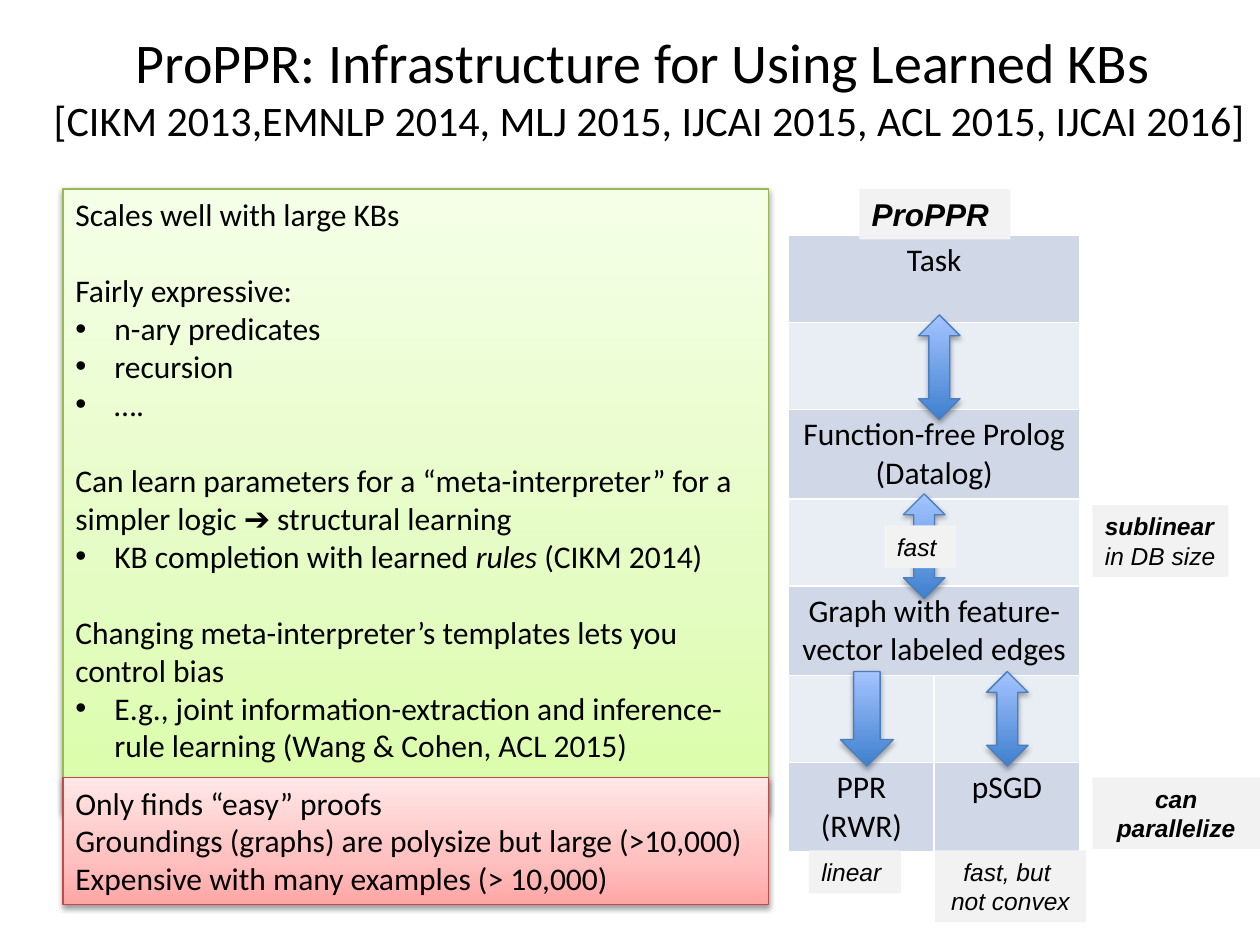
from lxml import etree
from pptx import Presentation
from pptx.dml.color import RGBColor
from pptx.enum.shapes import MSO_SHAPE as Shape
from pptx.enum.text import MSO_ANCHOR as Anchor, PP_ALIGN as Align
from pptx.oxml.ns import qn
from pptx.util import Inches, Pt

COLORS = {"text": "000000", "label": "F2F2F2", "layer": "D0D8E8", "link": "E9EDF4",
          "arrow line": "4B7EBC", "green line": "98B955", "red line": "BF4C48"}
GRADIENTS = {"arrow": [(0, "3F80CE"), (100, "A4C4FF")],
             "green": [(0, "DAFDA7"), (35, "E4FCC2"), (100, "F5FFE7")],
             "red": [(0, "FFA6A5"), (35, "FFC0BF"), (100, "FFE7E7")]}

TITLE = ("ProPPR: Infrastructure for Using Learned KBs ",
         "[CIKM 2013,EMNLP 2014, MLJ 2015, IJCAI 2015, ACL 2015, IJCAI 2016]")
STRENGTHS = [
    ("Scales well with large KBs", []),
    ("Fairly expressive:", ["n-ary predicates", "recursion", "…."]),
    ("Can learn parameters for a “meta-interpreter” for a simpler logic ➔ structural learning",
     ["KB completion with learned *rules* (CIKM 2014)"]),
    ("Changing meta-interpreter’s templates lets you control bias",
     ["E.g., joint information-extraction and inference-rule learning (Wang & Cohen, ACL 2015)"]),
]
WEAKNESSES = [("Only finds “easy” proofs", []),
              ("Groundings (graphs) are polysize but large (>10,000)", []),
              ("Expensive with many examples (> 10,000)", [])]
LAYERS = [["Task"], [""], ["Function-free Prolog (Datalog)"], [""],
          ["Graph with feature-vector labeled edges"], ["", ""], ["PPR (RWR)", "pSGD"]]
ROW_HEIGHTS = [0.69, 0.69, 0.7, 0.69, 0.7, 0.69, 0.7]
ARROWS = [(Shape.UP_DOWN_ARROW, 7.83, 5.33, 0.33, 0.75),
          (Shape.DOWN_ARROW, 6.67, 5.33, 0.42, 0.75),
          (Shape.UP_DOWN_ARROW, 7.17, 3.92, 0.33, 0.83),
          (Shape.UP_DOWN_ARROW, 7.29, 2.5, 0.33, 0.83)]
LABELS = [(["fast"], (7.02, 4.17, 0.57, 0.34), 14, False, Align.LEFT),
          (["linear"], (6.42, 6.75, 0.73, 0.34), 14, False, Align.LEFT),
          (["fast, but ", "not convex"], (7.42, 6.75, 1.2, 0.57), 14, False, Align.CENTER),
          (["*sublinear* in DB size"], (8.67, 4.01, 1.08, 0.57), 14, False, Align.LEFT),
          (["ProPPR"], (6.82, 1.5, 1.2, 0.4), 18, True, Align.LEFT),
          (["can parallelize"], (8.67, 6.17, 1.33, 0.57), 14, True, Align.CENTER)]


def color(name):
    return RGBColor.from_string(COLORS[name])


def style(font, size, name="Calibri", bold=False, italic=False):
    font.size, font.name, font.bold, font.italic = Pt(size), name, bold, italic
    font.color.rgb = color("text")


def add_color(parent, hex_color):
    return etree.SubElement(parent, qn("a:srgbClr"), val=hex_color)


def add_gradient_shape(slide, kind, box, name, opacity, distance):
    shape = slide.shapes.add_shape(kind, *map(Inches, box))
    shape.fill.gradient()
    shape.fill.gradient_angle = 90
    properties = shape._element.spPr
    stops = properties.find(qn("a:gradFill")).find(qn("a:gsLst"))
    for stop in list(stops):
        stops.remove(stop)
    for position, hex_color in GRADIENTS[name]:
        add_color(etree.SubElement(stops, qn("a:gs"), pos=str(position * 1000)), hex_color)
    shape.line.color.rgb = color(name + " line")
    shape.line.width = Pt(0.75)
    shape.shadow.inherit = False
    shadow = etree.SubElement(properties.find(qn("a:effectLst")), qn("a:outerShdw"),
                              blurRad=str(Pt(3.1)), dist=str(Pt(distance)),
                              dir="5400000", rotWithShape="0")
    etree.SubElement(add_color(shadow, COLORS["text"]), qn("a:alpha"), val=str(opacity * 1000))
    return shape


def add_bullet(paragraph):
    properties = paragraph._p.get_or_add_pPr()
    properties.set("marL", str(Inches(0.31)))
    properties.set("indent", str(-Inches(0.31)))
    etree.SubElement(properties, qn("a:buFont"), typeface="Arial")
    etree.SubElement(properties, qn("a:buChar"), char="•")


def add_panel(slide, box, name, groups, gap):
    shape = add_gradient_shape(slide, Shape.RECTANGLE, box, name, 38, 1.6)
    frame = shape.text_frame
    frame.word_wrap, frame.vertical_anchor = True, Anchor.TOP
    lines = [(text, level) for heading, bullets in groups
             for text, level in [(heading, 0)] + [(bullet, 1) for bullet in bullets]]
    for index, (text, level) in enumerate(lines):
        paragraph = frame.add_paragraph() if index else frame.paragraphs[0]
        paragraph.alignment = Align.LEFT
        if level:
            add_bullet(paragraph)
        elif index and gap:
            paragraph.space_before = Pt(gap)
        for part, piece in enumerate(text.split("*")):
            run = paragraph.add_run()
            run.text = piece
            style(run.font, 18, italic=part % 2 == 1)


def add_label(slide, lines, box, size, bold, alignment):
    shape = slide.shapes.add_textbox(*map(Inches, box))
    shape.fill.solid()
    shape.fill.fore_color.rgb = color("label")
    frame = shape.text_frame
    frame.word_wrap = True
    for index, line in enumerate(lines):
        paragraph = frame.add_paragraph() if index else frame.paragraphs[0]
        paragraph.alignment = alignment
        for part, piece in enumerate(line.split("*")):
            if piece:
                run = paragraph.add_run()
                run.text = piece
                style(run.font, size, "Arial", bold or part % 2 == 1, True)


def add_layers(slide):
    box = map(Inches, (6.26, 1.87, 2.31, sum(ROW_HEIGHTS)))
    table = slide.shapes.add_table(len(LAYERS), 2, *box).table
    table.first_row = table.horz_banding = False
    for row, (texts, height) in enumerate(zip(LAYERS, ROW_HEIGHTS)):
        table.rows[row].height = Inches(height)
        for column in range(2):
            cell = table.cell(row, column)
            cell.fill.solid()
            cell.fill.fore_color.rgb = color("link" if row % 2 else "layer")
        if len(texts) == 1:
            table.cell(row, 0).merge(table.cell(row, 1))
        for column, text in enumerate(texts):
            paragraph = table.cell(row, column).text_frame.paragraphs[0]
            paragraph.text = text
            paragraph.alignment = Align.CENTER
            for run in paragraph.runs:
                style(run.font, 18)


def add_title(slide):
    frame = slide.shapes.add_textbox(*map(Inches, (0.31, 0.06, 9.69, 1.25))).text_frame
    frame.word_wrap, frame.vertical_anchor = True, Anchor.MIDDLE
    paragraph = frame.paragraphs[0]
    paragraph.text = "\v".join(TITLE)
    paragraph.alignment = Align.CENTER
    for run, size in zip(paragraph.runs, (32, 24)):
        style(run.font, size)


def main():
    presentation = Presentation()
    presentation.slide_width, presentation.slide_height = Inches(10), Inches(7.5)
    slide = presentation.slides.add_slide(presentation.slide_layouts[6])
    add_layers(slide)
    for kind, *box in ARROWS:
        add_gradient_shape(slide, kind, box, "arrow", 35, 1.8)
    for label in LABELS:
        add_label(slide, *label)
    add_panel(slide, (0.5, 1.5, 5.6, 4.95), "green", STRENGTHS, 22)
    add_panel(slide, (0.5, 6.17, 5.6, 1.01), "red", WEAKNESSES, 0)
    add_title(slide)
    presentation.save("out.pptx")


if __name__ == "__main__":
    main()
